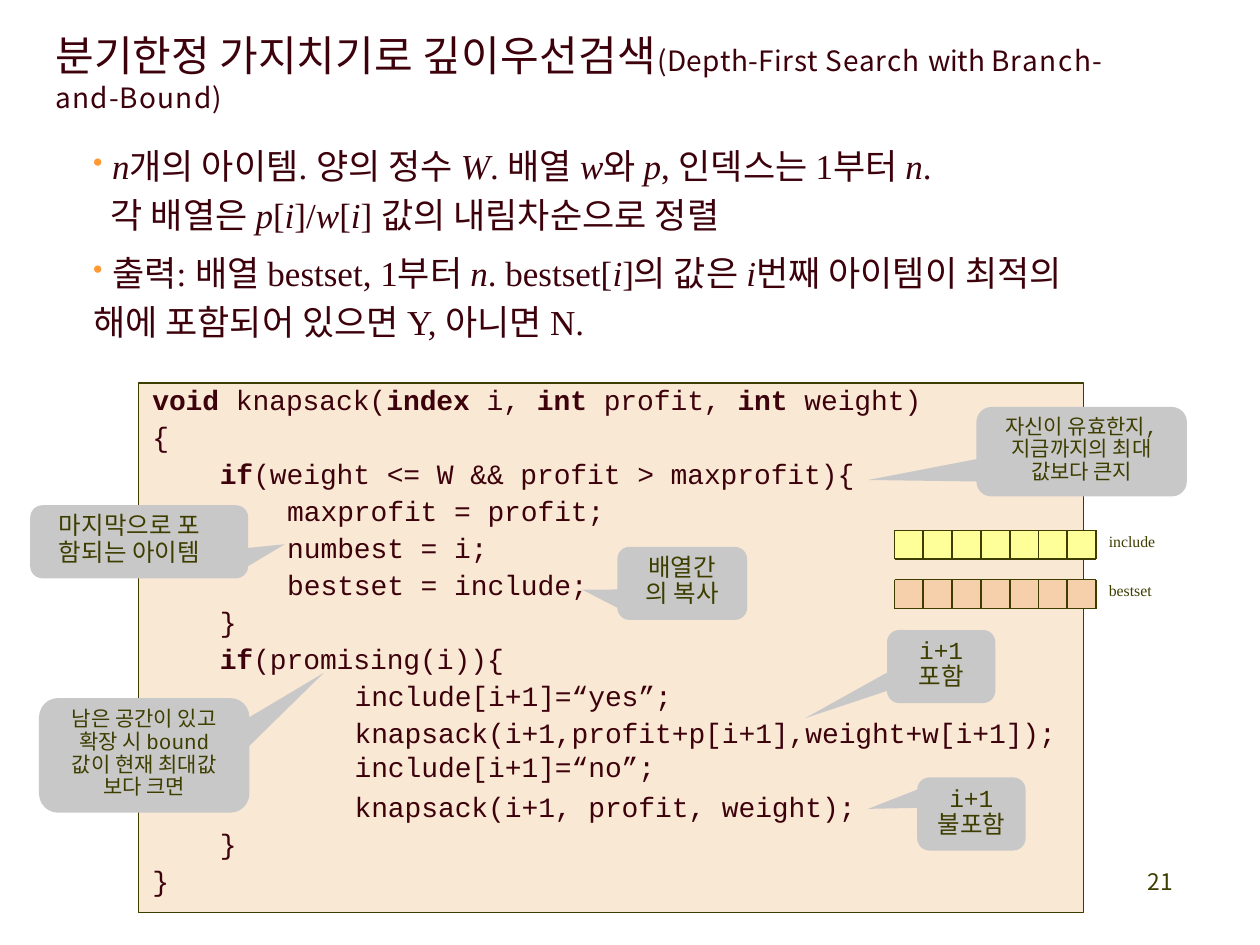
import collections
import dataclasses

import lxml.etree
import pptx
import pptx.dml.color
import pptx.enum.shapes
import pptx.enum.text
import pptx.oxml.ns
import pptx.util

Inches = pptx.util.Inches
Pt = pptx.util.Pt
qn = pptx.oxml.ns.qn
ALIGN = pptx.enum.text.PP_ALIGN
ANCHOR = pptx.enum.text.MSO_ANCHOR
SHAPE = pptx.enum.shapes.MSO_SHAPE
Box = collections.namedtuple("Box", "x y w h")


@dataclasses.dataclass(frozen=True)
class Theme:
    ink: str = "3D010C"
    olive: str = "3E3D00"
    bullet: str = "FF9933"
    panel: str = "F9E8D4"
    callout: str = "C8C8C8"
    include: str = "FFFF99"
    bestset: str = "F5D0AB"
    hangul: str = "Noto Sans CJK KR"
    serif: str = "Times New Roman"
    mono: str = "Courier New"
    title: int = 24
    body: int = 20
    code: int = 16
    note: int = 14
    small: int = 12
    page: int = 13
    label: int = 9


T = Theme()


def rgb(value):
    return pptx.dml.color.RGBColor.from_string(value)


def add_text(p, text, size, font=T.hangul, color=T.ink, spc=0):
    for part in text.split("|"):
        r = p.add_run()
        r.text = part.lstrip("*_")
        r.font.size = Pt(size)
        r.font.bold = part.startswith("*")
        r.font.italic = part.startswith("_")
        r.font.color.rgb = rgb(color)
        korean = any("가" <= c <= "힣" for c in part)
        r.font.name = T.hangul if korean else font
        rPr = r.font._element
        lxml.etree.SubElement(rPr, qn("a:ea")).set("typeface", T.hangul)
        if spc:
            rPr.set("spc", str(round(spc * 100)))


def add_paragraph(tf, line=None, before=0, align=ALIGN.LEFT, left=0.01, hang=0):
    p = tf.paragraphs[0]
    if p.runs:
        p = tf.add_paragraph()
    p.alignment = align
    p.space_before = Pt(before)
    if line:
        p.line_spacing = Pt(line)
    pPr = p._p.get_or_add_pPr()
    pPr.set("marL", str(Inches(left)))
    pPr.set("indent", str(Inches(-hang)))
    return p


def add_bullet(p):
    pPr = p._p.get_or_add_pPr()
    clr = lxml.etree.SubElement(pPr, qn("a:buClr"))
    lxml.etree.SubElement(clr, qn("a:srgbClr")).set("val", T.bullet)
    lxml.etree.SubElement(pPr, qn("a:buSzPct")).set("val", "80000")
    lxml.etree.SubElement(pPr, qn("a:buChar")).set("char", "•")


def set_frame(sp, anchor=ANCHOR.TOP, left=0, top=0, bottom=0):
    tf = sp.text_frame
    tf.word_wrap = True
    tf.vertical_anchor = anchor
    tf.margin_left, tf.margin_top = Inches(left), Inches(top)
    tf.margin_right, tf.margin_bottom = 0, Inches(bottom)
    return tf


def add_frame(s, box, top=0.01):
    return set_frame(s.shapes.add_textbox(*map(Inches, box)), top=top)


def add_box(s, kind, box, fill, line=None):
    sp = s.shapes.add_shape(kind, *map(Inches, box))
    sp.shadow.inherit = False
    sp.fill.solid()
    sp.fill.fore_color.rgb = rgb(fill)
    if line:
        sp.line.color.rgb = rgb(line)
        sp.line.width = Pt(0.75)
    else:
        sp.line.fill.background()
    return sp


def add_title(s, box):
    tf = add_frame(s, box, top=0.02)
    p = add_paragraph(tf, line=28.6, before=1, left=0.02)
    add_text(p, "분기한정 가지치기로 ", T.title)
    add_text(p, "깊이우선검색", T.title, spc=0.3)
    for text, spc in [("(Depth-First ", 0.3), ("Search ", 0.6), ("with ", -0.1), ("Branch-", 0.9)]:
        add_text(p, text, T.code, spc=spc)
    add_text(add_paragraph(tf, line=19.1, left=0.02), "and-Bound)", T.code, spc=0.7)


def add_body(s, box):
    tf = add_frame(s, box, top=0.07)
    lines = [
        ("_n|개의 아이템|. |양의 정수 |_W|. |배열 |_w|와 |_p|, |인덱스는 |1|부터 |_n|.", 5, 0.16, True),
        ("각 배열은 |_p|[|_i|]/|_w|[|_i|] |값의 내림차순으로 정렬", 4, 0.15, False),
        ("출력|: |배열 |bestset, 1|부터 |_n|. bestset[|_i|]|의 값은 |_i|번째 아이템이 최적의", 8.9, 0.16, True),
        ("해에 포함되어 있으면 |Y, |아니면 |N.", 4, 0.01, False),
    ]
    for text, before, left, bulleted in lines:
        p = add_paragraph(tf, before=before, left=left, hang=0.15 if bulleted else 0)
        if bulleted:
            add_bullet(p)
        add_text(p, text, T.body, T.serif)


def add_code(s, box):
    add_box(s, SHAPE.RECTANGLE, box, T.panel, T.olive)
    tf = add_frame(s, Box(box.x + 0.1, box.y - 0.03, box.w - 0.1, box.h), top=0)
    lines = [
        (0, "*void |knapsack(|*index |i, |*int |profit, |*int |weight)"),
        (0, "{"),
        (1, "*if|(weight <= W && profit > maxprofit){"),
        (2, "maxprofit = profit;"),
        (2, "numbest = i;"),
        (2, "bestset = include;"),
        (1, "}"),
        (1, "*if|(promising(i)){"),
        (3, "include[i+1]=“yes”;"),
        (3, "knapsack(i+1,profit+p[i+1],weight+w[i+1]);"),
        (3, "include[i+1]=“no”;", 19.4),
        (3, "knapsack(i+1, profit, weight);", 22.88),
        (1, "}"),
        (0, "}"),
    ]
    for depth, text, *pitch in lines:
        line = pitch[0] if pitch else 21.14
        p = add_paragraph(tf, line=line, left=0.01 + depth * 0.535)
        add_text(p, text, T.code, T.mono, spc=-0.03)


def add_callout(s, box, tip, lines, size=T.note, align=ALIGN.CENTER, left=0):
    sp = add_box(s, SHAPE.ROUNDED_RECTANGULAR_CALLOUT, box, T.callout)
    sp.adjustments[0] = (tip[0] - box.x) / box.w - 0.5
    sp.adjustments[1] = (tip[1] - box.y) / box.h - 0.5
    tf = set_frame(sp, ANCHOR.MIDDLE, left, bottom=0.03)
    for text in lines:
        p = add_paragraph(tf, line=size + 1, align=align, left=0)
        add_text(p, text, size, T.mono, T.olive)


def add_array(s, box, name, fill, count=7):
    add_box(s, SHAPE.RECTANGLE, box, fill)
    right, bottom = box.x + box.w, box.y + box.h
    columns = [box.x + i * box.w / count for i in range(count + 1)]
    rules = [((x, box.y), (x, bottom)) for x in columns]
    rules += [((box.x, y), (right, y)) for y in (box.y, bottom)]
    fb = s.shapes.build_freeform(*map(Inches, rules[0][0]))
    for start, end in rules:
        fb.move_to(*map(Inches, start))
        fb.add_line_segments([tuple(map(Inches, end))], close=False)
    sp = fb.convert_to_shape()
    sp.shadow.inherit = False
    sp.fill.background()
    sp.line.color.rgb = rgb(T.olive)
    sp.line.width = Pt(1)
    tf = add_frame(s, Box(right + 0.09, box.y, 0.45, 0.18))
    add_text(add_paragraph(tf, before=1), name, T.label, T.serif, T.olive)


def add_page_number(s, box):
    p = add_paragraph(add_frame(s, box), before=0.9)
    add_text(p, "21", T.page, color=T.olive, spc=0.2)


def main():
    prs = pptx.Presentation()
    prs.slide_width, prs.slide_height = Inches(10), Inches(7.5)
    s = prs.slides.add_slide(prs.slide_layouts[6])
    add_page_number(s, Box(9.1, 6.88, 0.23, 0.24))
    add_code(s, Box(1.1, 3.04, 7.5, 4.2))
    add_body(s, Box(0.73, 1.08, 8.14, 1.65))
    add_title(s, Box(0.42, 0.22, 8.77, 0.69))
    add_callout(s, Box(7.04, 5, 0.86, 0.58), (6.39, 5.7), ["i+1", "포함"])
    add_callout(s, Box(7.28, 6.17, 0.86, 0.58), (6.89, 6.42), ["i+1", "불포함"])
    add_callout(s, Box(7.75, 3.23, 1.67, 0.71), (6.89, 3.81),
                ["자신이 유효한지|,", "지금까지의 최대", "값보다 큰지"], T.small)
    add_callout(s, Box(0.31, 5.54, 1.67, 0.91), (2.57, 5.34),
                ["남은 공간이 있고", "확장 시 |bound", "값이 현재 최대값", "보다 크면"], T.small)
    add_callout(s, Box(4.9, 4.34, 1.03, 0.58), (4.62, 4.68), ["배열간", "의 복사"])
    add_callout(s, Box(0.24, 4.01, 1.73, 0.58), (2.26, 4.32),
                ["마지막으로 포", "함되는 아이템"], align=ALIGN.LEFT, left=0.2)
    add_array(s, Box(7.1, 4.21, 1.6, 0.23), "include", T.include)
    add_array(s, Box(7.1, 4.6, 1.6, 0.23), "bestset", T.bestset)
    prs.save("out.pptx")


if __name__ == "__main__":
    main()
